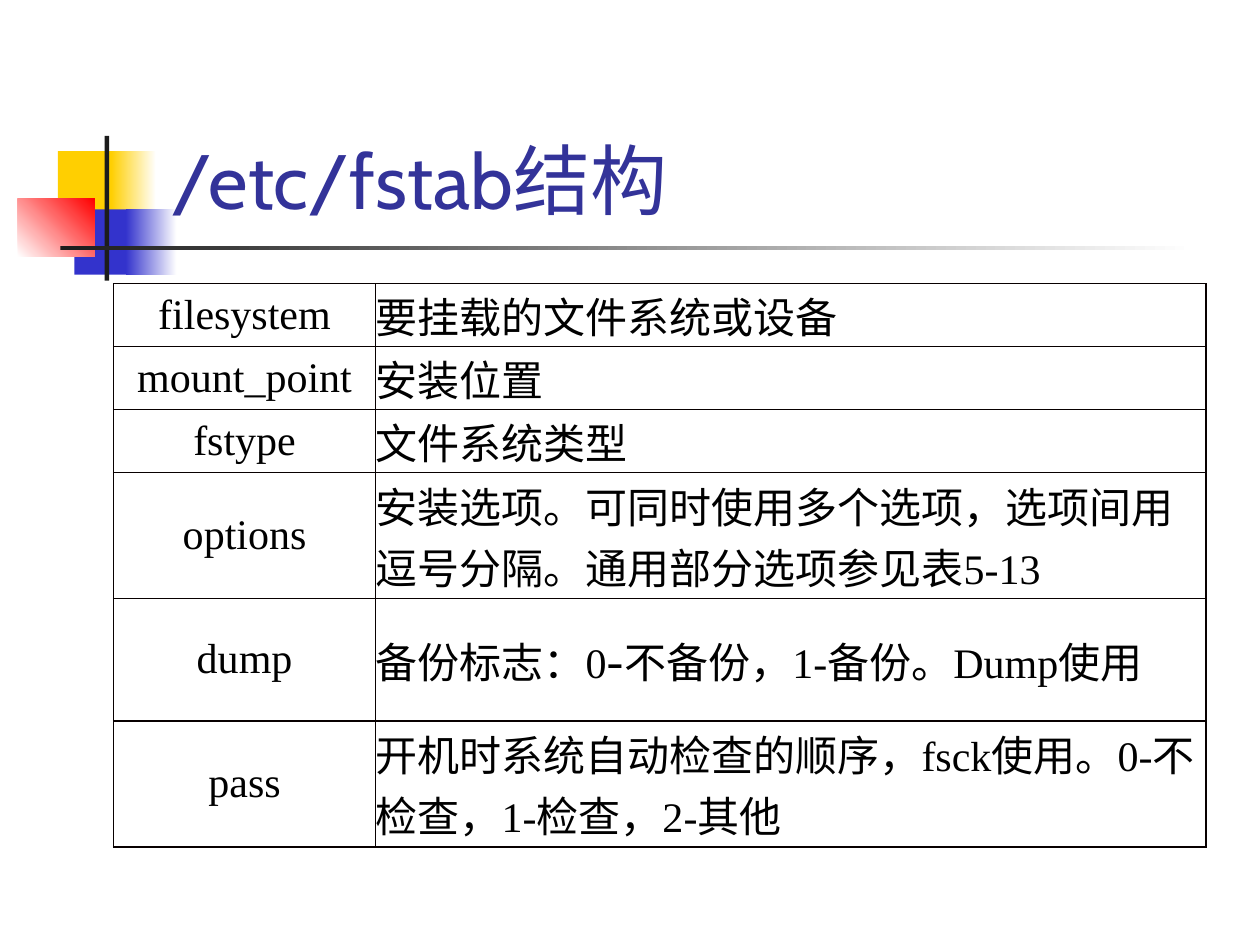
from dataclasses import dataclass
from typing import Optional

from lxml import etree
from pptx import Presentation
from pptx import util as u
from pptx.dml.color import RGBColor
from pptx.enum import shapes, text
from pptx.oxml import ns


@dataclass(frozen=True)
class Theme:
    yellow: str = "FFCF01"
    blue: str = "3333CC"
    red: str = "FF0000"
    dark: str = "1C1C1C"
    white: str = "FFFFFF"
    heading: str = "333399"
    body: str = "000000"
    border: str = "080000"
    heading_size: int = 44
    body_size: int = 24
    border_width: int = 1
    heading_font: str = "Cabin"
    body_font: str = "Times New Roman"
    chinese_font: str = "Noto Sans CJK SC"


@dataclass(frozen=True)
class Block:
    left: float
    top: float
    width: float
    height: float
    color: str
    fade_to: Optional[str] = None
    angle: int = 0


@dataclass(frozen=True)
class Field:
    name: str
    meaning: tuple[tuple[str, str], ...]
    height: float


THEME = Theme()
LATIN, CJK, HEAD = THEME.body_font, THEME.chinese_font, THEME.heading_font
LINE = 1.27

BLOCKS = (
    Block(1.17, 3.05, 1.22, 1.32, THEME.yellow),
    Block(2.24, 3.05, 0.91, 1.32, THEME.yellow, THEME.white),
    Block(1.5, 4.22, 1.17, 1.32, THEME.blue),
    Block(2.54, 4.22, 1.02, 1.32, THEME.blue, THEME.white),
    Block(0.36, 4.01, 1.55, 1.17, THEME.white, THEME.red, 45),
    Block(2.11, 2.74, 0.09, 2.92, THEME.dark),
    Block(1.22, 4.95, 22.86, 0.09, THEME.dark, THEME.white),
)

FIELDS = (
    Field("filesystem", (("要挂载的文件系统或设备", LATIN),), LINE),
    Field("mount_point", (("安装位置", LATIN),), LINE),
    Field("fstype", (("文件系统类型", LATIN),), LINE),
    Field("options", (("安装选项。可同时使用多个选项，选项间用逗号分隔。通用部分选项参见表5-13", LATIN),), 2 * LINE),
    Field("dump", (("备份标志", LATIN), ("：", CJK), ("0", LATIN), ("-", HEAD),
                   ("不备份，1-备份。Dump使用", LATIN)), 2.46),
    Field("pass", (("开机时系统自动检查的顺序", LATIN), ("，", CJK),
                   ("fsck使用。0-不检查，1-检查，2-其他", LATIN)), 2 * LINE),
)


def apply_format(target, values: dict) -> None:
    """Set every named attribute on the target."""
    for name, value in values.items():
        setattr(target, name, value)


def add_run(paragraph, wording: str, font: str, size: int, color: str) -> None:
    """Append a run with its Latin and Chinese fonts."""
    run = paragraph.add_run()
    run.text = wording
    apply_format(run.font, {"name": font, "size": u.Pt(size), "bold": False})
    run.font.color.rgb = RGBColor.from_string(color)
    chinese = etree.Element(ns.qn("a:ea"), typeface=THEME.chinese_font)
    run.font._element.find(ns.qn("a:latin")).addnext(chinese)


def draw_block(slide, block: Block) -> None:
    """Draw one plain or fading rectangle of the ornament."""
    bounds = map(u.Cm, (block.left, block.top, block.width, block.height))
    rectangle = slide.shapes.add_shape(shapes.MSO_SHAPE.RECTANGLE, *bounds)
    rectangle.shadow.inherit = False
    rectangle.line.fill.background()
    fill = rectangle.fill
    if block.fade_to is None:
        fill.solid()
        fill.fore_color.rgb = RGBColor.from_string(block.color)
        return
    fill.gradient()
    fill.gradient_angle = block.angle
    for stop, color, position in zip(fill.gradient_stops, (block.color, block.fade_to), (0, 1)):
        stop.color.rgb = RGBColor.from_string(color)
        stop.position = position


def draw_heading(slide, wording: str) -> None:
    """Place the heading above the rule."""
    heading = slide.shapes.add_textbox(*map(u.Cm, (3.2, 0.6, 21.64, 4.06)))
    apply_format(heading.text_frame, {"word_wrap": True, "vertical_anchor": text.MSO_ANCHOR.BOTTOM})
    add_run(heading.text_frame.paragraphs[0], wording, HEAD, THEME.heading_size, THEME.heading)


def add_borders(cell) -> None:
    """Outline all four sides of a cell."""
    properties = cell._tc.get_or_add_tcPr()
    for index, side in enumerate(("lnL", "lnR", "lnT", "lnB")):
        line = etree.Element(ns.qn(f"a:{side}"), w=str(u.Pt(THEME.border_width)))
        fill = etree.SubElement(line, ns.qn("a:solidFill"))
        etree.SubElement(fill, ns.qn("a:srgbClr"), val=THEME.border)
        properties.insert(index, line)


def fill_cell(cell, runs: tuple[tuple[str, str], ...], alignment) -> None:
    """Write a cell's runs and set its look."""
    apply_format(cell, {
        "margin_left": 0, "margin_right": 0, "margin_top": 0, "margin_bottom": 0,
        "vertical_anchor": text.MSO_ANCHOR.MIDDLE,
    })
    cell.fill.background()
    add_borders(cell)
    paragraph = cell.text_frame.paragraphs[0]
    paragraph.alignment = alignment
    for wording, font in runs:
        add_run(paragraph, wording, font, THEME.body_size, THEME.body)


def draw_fields(slide, fields: tuple[Field, ...]) -> None:
    """Draw the table of fstab fields."""
    widths = (5.28, 16.74)
    bounds = map(u.Cm, (2.29, 5.72, sum(widths), sum(field.height for field in fields)))
    table = slide.shapes.add_table(len(fields), len(widths), *bounds).table
    apply_format(table, {"first_row": False, "horz_banding": False})
    for column, width in zip(table.columns, widths):
        column.width = u.Cm(width)
    for row, field in zip(table.rows, fields):
        row.height = u.Cm(field.height)
        name_cell, meaning_cell = row.cells
        fill_cell(name_cell, ((field.name, LATIN),), text.PP_ALIGN.CENTER)
        fill_cell(meaning_cell, field.meaning, text.PP_ALIGN.LEFT)


def main() -> None:
    """Build and save the slide."""
    deck = Presentation()
    apply_format(deck, {"slide_width": u.Cm(25.4), "slide_height": u.Cm(19.05)})
    slide = deck.slides.add_slide(deck.slide_layouts[6])
    for block in BLOCKS:
        draw_block(slide, block)
    draw_heading(slide, "/etc/fstab结构")
    draw_fields(slide, FIELDS)
    deck.save("out.pptx")


if __name__ == "__main__":
    main()
